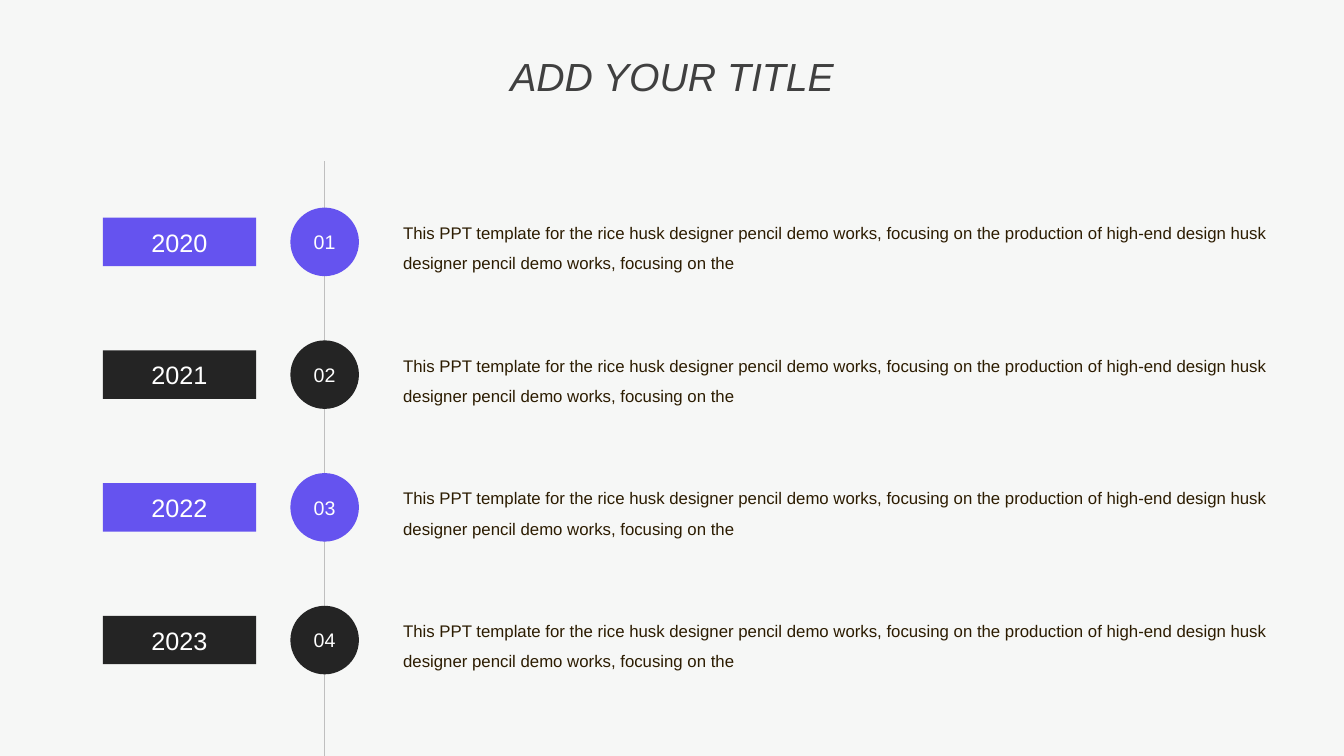
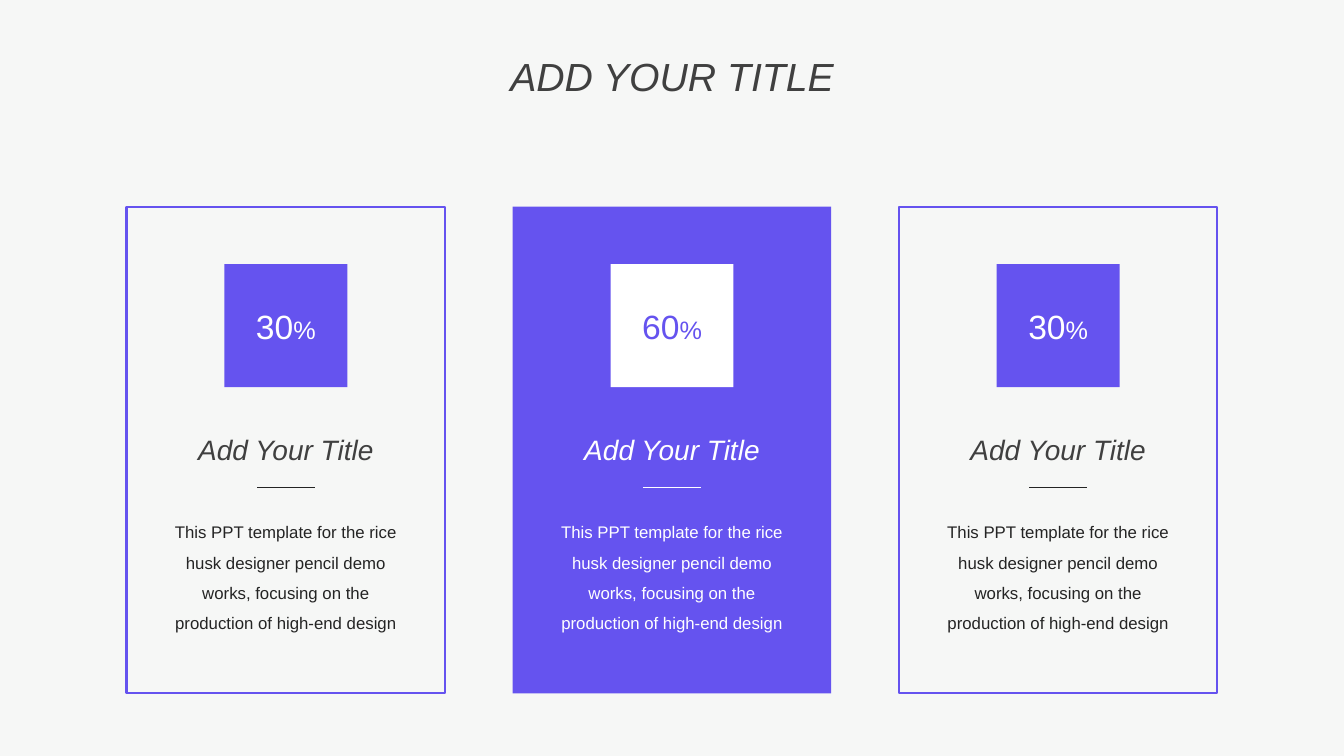
from lxml.etree import SubElement
from pptx import Presentation
from pptx.dml.color import RGBColor
from pptx.enum.shapes import MSO_CONNECTOR, MSO_SHAPE
from pptx.enum.text import MSO_ANCHOR, MSO_AUTO_SIZE, PP_ALIGN
from pptx.oxml.ns import qn
from pptx.util import Inches, Pt

# Shared style
FONT = "Arial"
PURPLE, DARK, WHITE = "6553EF", "242424", "FFFFFF"
TITLE_GRAY, LINE_GRAY, BROWN, BACKGROUND = "404040", "BFBFBF", "2C1C01", "F6F7F6"
SLIDE_WIDTH, SLIDE_HEIGHT = 13.33, 7.5


def color(value):
    return RGBColor.from_string(value)


def write(shape, runs, text_color, italic=False, align=PP_ALIGN.CENTER,
          anchor=MSO_ANCHOR.TOP, line_spacing=None):
    """Fill a shape with one paragraph made of (text, size) runs."""
    frame = shape.text_frame
    frame.word_wrap = True
    frame.auto_size = MSO_AUTO_SIZE.NONE
    frame.vertical_anchor = anchor
    paragraph = frame.paragraphs[0]
    paragraph.alignment = align
    paragraph.line_spacing = line_spacing
    for text, size in runs:
        run = paragraph.add_run()
        run.text = text
        run.font.name = FONT
        run.font.size = Pt(size)
        run.font.italic = italic
        run.font.color.rgb = color(text_color)


presentation = Presentation()
presentation.slide_width = Inches(SLIDE_WIDTH)
presentation.slide_height = Inches(SLIDE_HEIGHT)
master_fill = presentation.slide_master.background.fill
master_fill.solid()
master_fill.fore_color.rgb = color(BACKGROUND)

# Both slides carry the same title
slides = []
for number in range(2):
    slide = presentation.slides.add_slide(presentation.slide_layouts[5])
    title = slide.shapes.title
    title.left, title.top = Inches(4.8), Inches(0.47)
    title.width, title.height = Inches(3.73), Inches(0.57)
    write(title, [("ADD YOUR TITLE", 28)], TITLE_GRAY, italic=True)
    slides.append(slide)
timeline_slide, cards_slide = slides
lines = []
blocks = []

# Timeline: vertical axis
AXIS_X = 3.22
axis = timeline_slide.shapes.add_connector(
    MSO_CONNECTOR.STRAIGHT, Inches(AXIS_X), Inches(1.6), Inches(AXIS_X), Inches(SLIDE_HEIGHT))
lines.append((axis, LINE_GRAY))

# Timeline: year, numbered circle and description in each row
CIRCLE, YEAR_HEIGHT = 0.68, 0.48
ROW_TOP, LAST_ROW_TOP = 2.06, 6.01
YEARS = ["2020", "2021", "2022", "2023"]
ROW_PITCH = (LAST_ROW_TOP - ROW_TOP) / (len(YEARS) - 1)
DESCRIPTION = ("This PPT template for the rice husk designer pencil demo works, "
               "focusing on the production of high-end design husk designer pencil "
               "demo works, focusing on the")
for row, year in enumerate(YEARS):
    top = ROW_TOP + row * ROW_PITCH
    fill = DARK if row % 2 else PURPLE
    circle = timeline_slide.shapes.add_shape(
        MSO_SHAPE.OVAL, Inches(AXIS_X - CIRCLE / 2), Inches(top), Inches(CIRCLE), Inches(CIRCLE))
    write(circle, [(f"{row + 1:02}", 14)], WHITE, anchor=MSO_ANCHOR.MIDDLE)
    year_box = timeline_slide.shapes.add_shape(
        MSO_SHAPE.RECTANGLE, Inches(1.02), Inches(top + (CIRCLE - YEAR_HEIGHT) / 2),
        Inches(1.52), Inches(YEAR_HEIGHT))
    write(year_box, [(year, 18)], WHITE, anchor=MSO_ANCHOR.MIDDLE)
    blocks += [(circle, fill), (year_box, fill)]
    description = timeline_slide.shapes.add_textbox(
        Inches(3.9), Inches(top), Inches(8.81), Inches(0.67))
    write(description, [(DESCRIPTION, 12)], BROWN, align=PP_ALIGN.LEFT, line_spacing=1.5)

# Cards: three centred columns, the middle one filled
CARD_WIDTH, CARD_GAP = 3.16, 0.67
SQUARE, RULE, HEADING_WIDTH, BODY_WIDTH = 1.22, 0.57, 2.41, 2.65
CARD_TEXT = ("This PPT template for the rice husk designer pencil demo works, "
             "focusing on the production of high-end design")
CARDS = [  # percentage, filled, square, number, heading, body and rule
    ("30", False, PURPLE, WHITE, TITLE_GRAY, DARK),
    ("60", True, WHITE, PURPLE, WHITE, WHITE),
    ("30", False, PURPLE, WHITE, TITLE_GRAY, DARK),
]
for column, (percentage, filled, square_color, number_color,
             heading_color, body_color) in enumerate(CARDS):
    center = SLIDE_WIDTH / 2 + (column - 1) * (CARD_WIDTH + CARD_GAP)
    card = cards_slide.shapes.add_shape(
        MSO_SHAPE.RECTANGLE, Inches(center - CARD_WIDTH / 2), Inches(2.05),
        Inches(CARD_WIDTH), Inches(4.83))
    blocks.append((card, PURPLE if filled else None))
    square = cards_slide.shapes.add_shape(
        MSO_SHAPE.RECTANGLE, Inches(center - SQUARE / 2), Inches(2.62),
        Inches(SQUARE), Inches(SQUARE))
    blocks.append((square, square_color))
    write(square, [(percentage, 24), ("%", 18)], number_color, anchor=MSO_ANCHOR.MIDDLE)
    heading = cards_slide.shapes.add_textbox(
        Inches(center - HEADING_WIDTH / 2), Inches(4.24), Inches(HEADING_WIDTH), Inches(0.44))
    write(heading, [("Add Your Title", 20)], heading_color, italic=True)
    rule = cards_slide.shapes.add_connector(
        MSO_CONNECTOR.STRAIGHT, Inches(center - RULE / 2), Inches(4.84),
        Inches(center + RULE / 2), Inches(4.84))
    lines.append((rule, body_color))
    body = cards_slide.shapes.add_textbox(
        Inches(center - BODY_WIDTH / 2), Inches(5.03), Inches(BODY_WIDTH), Inches(1.57))
    write(body, [(CARD_TEXT, 12)], body_color, line_spacing=1.5)

# Flat fills; a block without fill gets a purple outline
for shape, fill in blocks:
    shape.shadow.inherit = False
    if fill:
        shape.fill.solid()
        shape.fill.fore_color.rgb = color(fill)
        shape.line.fill.background()
    else:
        shape.fill.background()
        shape.line.color.rgb = color(PURPLE)
        shape.line.width = Pt(1.5)

# Thin lines without shadow
for connector, line_color in lines:
    connector.line.color.rgb = color(line_color)
    connector.line.width = Pt(0.5)
    SubElement(connector._element.spPr, qn("a:effectLst"))

presentation.save("out.pptx")
